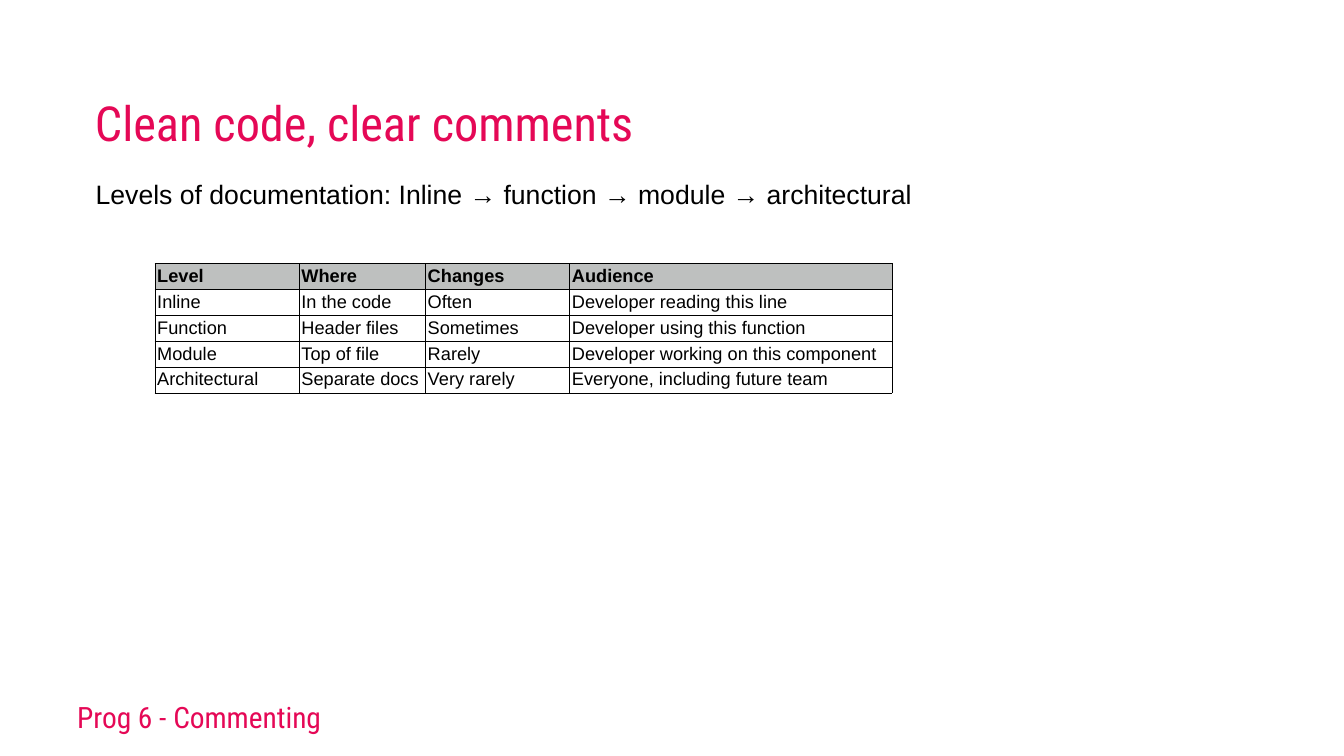
import pptx
import pptx.util
import pptx.dml.color
import pptx.enum.text
import pptx.oxml
import pptx.oxml.ns

Pt = pptx.util.Pt
Anchor = pptx.enum.text.MSO_ANCHOR

COLORS = {"accent": "E50856", "text": "000000", "header": "BEC0BF", "border": "000000"}
HEADING_FONT, BODY_FONT = "Roboto Condensed", "Arial"
INSET = 3.6
THIN, THICK = 0.35, 0.75

TITLE = "Clean code, clear comments"
SUMMARY = "Levels of documentation: Inline → function → module → architectural"
FOOTER = "Prog 6 - Commenting"
LEVELS = [
    ("Level", "Where", "Changes", "Audience"),
    ("Inline", "In the code", "Often", "Developer reading this line"),
    ("Function", "Header files", "Sometimes", "Developer using this function"),
    ("Module", "Top of file", "Rarely", "Developer working on this component"),
    ("Architectural", "Separate docs", "Very rarely", "Everyone, including future team"),
]
COLUMN_WIDTHS = [206, 180.5, 206, 461]
ROW_HEIGHT = 37.1


def rgb(name):
    return pptx.dml.color.RGBColor.from_string(COLORS[name])


def style(paragraph, font, size, color, bold=False):
    paragraph.alignment = pptx.enum.text.PP_ALIGN.LEFT
    paragraph.font.name = font
    paragraph.font.size = Pt(size)
    paragraph.font.bold = bold
    paragraph.font.color.rgb = rgb(color)


def write(shape, box, text, font, size, color, anchor, spacing, before=0, indent=0):
    shape.left, shape.top, shape.width, shape.height = map(Pt, box)
    frame = shape.text_frame
    frame.text = text
    frame.word_wrap = True
    frame.auto_size = pptx.enum.text.MSO_AUTO_SIZE.NONE
    frame.vertical_anchor = anchor
    frame.margin_left = frame.margin_right = Pt(INSET)
    frame.margin_top = frame.margin_bottom = Pt(INSET)
    paragraph = frame.paragraphs[0]
    style(paragraph, font, size, color)
    paragraph.line_spacing = spacing
    paragraph.space_before = Pt(before)
    properties = paragraph._p.get_or_add_pPr()
    properties.set("marL", "0")
    properties.set("indent", str(Pt(indent)))
    properties.get_or_change_to_buNone() if hasattr(properties, "get_or_change_to_buNone") else \
        properties.insert_element_before(
            pptx.oxml.parse_xml(f'<a:buNone {pptx.oxml.ns.nsdecls("a")}/>'),
            "a:tabLst", "a:defRPr", "a:extLst")


def add_borders(cell, widths):
    properties = cell._tc.get_or_add_tcPr()
    for position, (side, width) in enumerate(widths.items()):
        properties.insert(position, pptx.oxml.parse_xml(
            f'<a:{side} {pptx.oxml.ns.nsdecls("a")} w="{Pt(width)}"><a:solidFill>'
            f'<a:srgbClr val="{COLORS["border"]}"/></a:solidFill></a:{side}>'))


def add_levels_table(slide):
    table = slide.shapes.add_table(
        len(LEVELS), len(COLUMN_WIDTHS), Pt(221), Pt(376),
        Pt(sum(COLUMN_WIDTHS)), Pt(ROW_HEIGHT * len(LEVELS))).table
    table.horz_banding = False
    for column, width in zip(table.columns, COLUMN_WIDTHS):
        column.width = Pt(width)
    for r, level in enumerate(LEVELS):
        table.rows[r].height = Pt(ROW_HEIGHT)
        for c, text in enumerate(level):
            cell = table.cell(r, c)
            cell.text = text
            cell.margin_left = cell.margin_right = Pt(INSET)
            cell.margin_top = cell.margin_bottom = Pt(INSET)
            style(cell.text_frame.paragraphs[0], BODY_FONT, 26, "text", bold=r == 0)
            if r == 0:
                cell.fill.solid()
                cell.fill.fore_color.rgb = rgb("header")
            else:
                cell.fill.background()
            add_borders(cell, {"lnL": THIN, "lnR": THIN,
                               "lnT": THICK if r == 1 else THIN,
                               "lnB": THICK if r == 0 else THIN})


def main():
    presentation = pptx.Presentation()
    presentation.slide_width, presentation.slide_height = Pt(1920), Pt(1080)
    slide = presentation.slides.add_slide(presentation.slide_layouts[1])
    footer = slide.shapes.add_textbox(0, 0, 0, 0)
    write(footer, (70.5, 971, 1638, 81.5), FOOTER, HEADING_FONT, 42, "accent",
          Anchor.BOTTOM, 0.8, before=10, indent=36)
    write(slide.shapes.title, (132, 57.5, 1656, 163), TITLE, HEADING_FONT, 69, "accent",
          Anchor.BOTTOM, 0.9)
    write(slide.placeholders[1], (133, 242, 1719, 732), SUMMARY, BODY_FONT, 38, "text",
          Anchor.TOP, 1.2, before=10)
    add_levels_table(slide)
    presentation.save("out.pptx")


if __name__ == "__main__":
    main()
